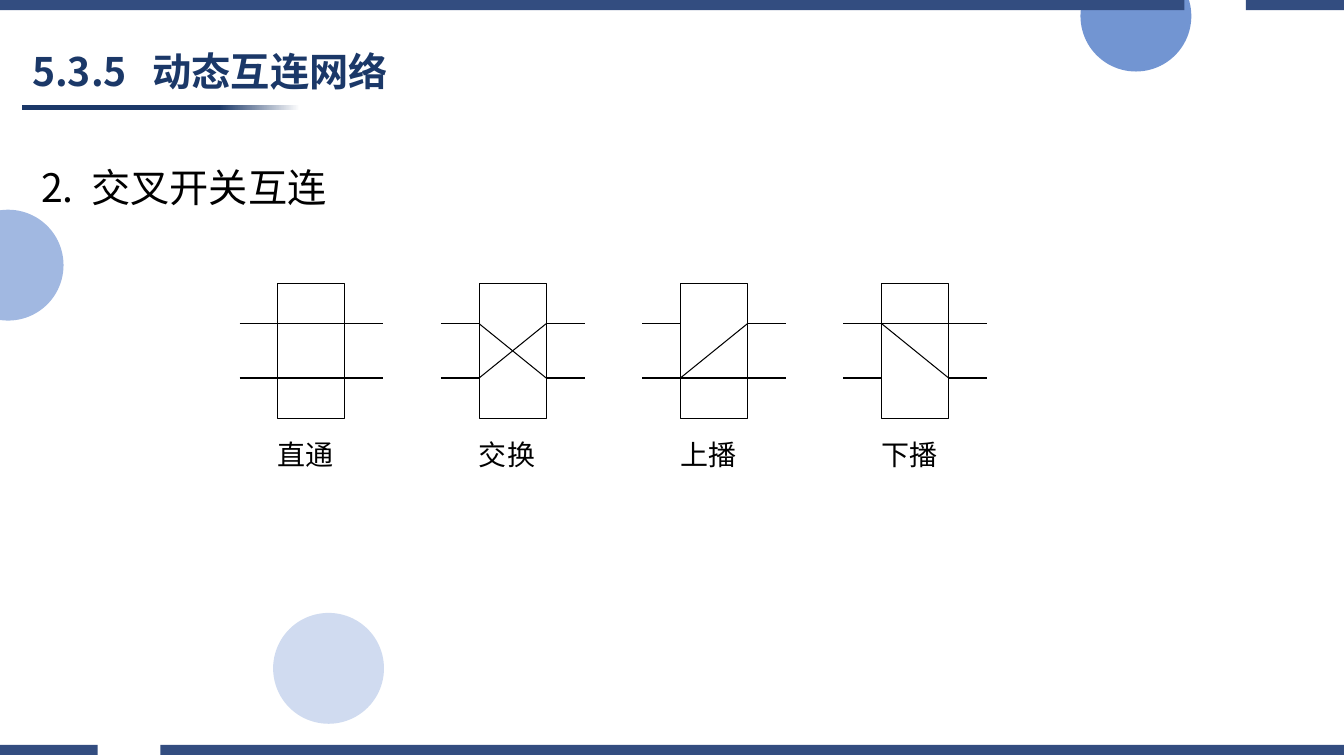
from copy import deepcopy
from dataclasses import dataclass

from lxml.etree import SubElement
from pptx import Presentation
from pptx.dml.color import RGBColor
from pptx.enum.shapes import MSO_CONNECTOR, MSO_SHAPE
from pptx.enum.text import MSO_ANCHOR, PP_ALIGN
from pptx.oxml.ns import qn
from pptx.util import Pt

SANS = "Noto Sans CJK SC"
SERIF = "Times New Roman"
NAVY, BAR, BLUE, BLACK, WHITE = "1B3868", "334D80", "4472C4", "000000", "FFFFFF"
WIDE, HIGH = 960, 540


@dataclass
class Disc:
    left: float
    top: float
    alpha: int


@dataclass
class Strip:
    top: float
    start: float
    end: float


@dataclass
class Switch:
    name: str
    links: list[tuple[int, int]]


DISCS = [Disc(195.1, 437.8, 25), Disc(-33.8, 149.8, 50), Disc(771.8, -28.1, 75)]
STRIPS = [Strip(532.1, 69.8, 114.5), Strip(0, 846, 890)]
SWITCHES = [
    Switch("直通", [(0, 0), (1, 1)]),
    Switch("交换", [(0, 1), (1, 0)]),
    Switch("上播", [(1, 1), (1, 0)]),
    Switch("下播", [(0, 0), (0, 1)]),
]
BOX_LEFT, BOX_TOP, BOX_WIDE, BOX_HIGH = 198.5, 202.3, 47.9, 96.5
PITCH, STUB = 143.75, 27.4
ROWS = (231.2, 270)


def color(code: str) -> RGBColor:
    return RGBColor.from_string(code)


def paint(shape, code: str, alpha: int = 100) -> None:
    shape.shadow.inherit = False
    shape.line.fill.background()
    shape.fill.solid()
    shape.fill.fore_color.rgb = color(code)
    if alpha < 100:
        tint = shape.fill._xPr.find(".//" + qn("a:srgbClr"))
        SubElement(tint, qn("a:alpha"), val=str(alpha * 1000))


def write(shape, text: str, *, size: float, font: str = SANS, code: str = BLACK,
          bold: bool = False, space: float = 1, tab: float = 0,
          anchor: MSO_ANCHOR = MSO_ANCHOR.TOP) -> None:
    frame = shape.text_frame
    frame.word_wrap = True
    frame.vertical_anchor = anchor
    para = frame.paragraphs[0]
    if tab:
        stops = SubElement(para._p.get_or_add_pPr(), qn("a:tabLst"))
        SubElement(stops, qn("a:tab"), pos=str(Pt(tab)), algn="l")
    para.alignment = PP_ALIGN.LEFT
    para.line_spacing = space
    run = para.add_run()
    run.text = text
    run.font.size = Pt(size)
    run.font.name = font
    run.font.bold = bold
    run.font.color.rgb = color(code)
    SubElement(run.font._element, qn("a:ea"), typeface=SANS)


def label(slide, text: str, left: float, top: float, width: float, height: float,
          **style) -> None:
    box = slide.shapes.add_textbox(Pt(left), Pt(top), Pt(width), Pt(height))
    write(box, text, **style)


def wire(slide, x1: float, y1: float, x2: float, y2: float) -> None:
    line = slide.shapes.add_connector(
        MSO_CONNECTOR.STRAIGHT, Pt(x1), Pt(y1), Pt(x2), Pt(y2))
    line.line.color.rgb = color(BLACK)
    line.line.width = Pt(0.75)
    SubElement(line._element.spPr, qn("a:effectLst"))


def draw_disc(slide, disc: Disc) -> None:
    shape = slide.shapes.add_shape(
        MSO_SHAPE.OVAL, Pt(disc.left), Pt(disc.top), Pt(79.2), Pt(79.2))
    paint(shape, BLUE, disc.alpha)


def draw_strip(slide, strip: Strip) -> None:
    top, base = Pt(strip.top), Pt(strip.top + 7.2)
    pen = slide.shapes.build_freeform(0, top)
    for left, right in ((0, strip.start), (strip.end, WIDE)):
        if left:
            pen.move_to(Pt(left), top)
        pen.add_line_segments(
            [(Pt(right), top), (Pt(right), base), (Pt(left), base)], close=True)
    paint(pen.convert_to_shape(), BAR)


def draw_rule(slide) -> None:
    rule = slide.shapes.add_shape(
        MSO_SHAPE.RECTANGLE, Pt(15.5), Pt(75.2), Pt(198.7), Pt(3.6))
    paint(rule, NAVY)
    rule.fill.gradient()
    rule.fill.gradient_angle = 0
    first = rule.fill.gradient_stops[0]._gs
    first.addnext(deepcopy(first))
    marks = ((0.01, NAVY), (0.71, NAVY), (1, WHITE))
    for stop, (place, code) in zip(rule.fill.gradient_stops, marks):
        stop.position = place
        stop.color.rgb = color(code)


def draw_switch(slide, switch: Switch, left: float) -> None:
    right = left + BOX_WIDE
    box = slide.shapes.add_shape(
        MSO_SHAPE.RECTANGLE, Pt(left), Pt(BOX_TOP), Pt(BOX_WIDE), Pt(BOX_HIGH))
    box.shadow.inherit = False
    box.fill.background()
    box.line.color.rgb = color(BLACK)
    box.line.width = Pt(0.75)
    for row in ROWS:
        wire(slide, left - STUB, row, left, row)
        wire(slide, right, row, right + STUB, row)
    for start, end in switch.links:
        wire(slide, left, ROWS[start], right, ROWS[end])
    label(slide, switch.name, left - 7.2, 308.9, 65.5, 31.7, size=20, font=SERIF)


def main() -> None:
    deck = Presentation()
    deck.slide_width, deck.slide_height = Pt(WIDE), Pt(HIGH)
    slide = deck.slides.add_slide(deck.slide_layouts[5])
    for disc in DISCS:
        draw_disc(slide, disc)
    draw_rule(slide)
    for strip in STRIPS:
        draw_strip(slide, strip)
    title = slide.shapes.title
    title.left, title.top, title.width, title.height = Pt(15.8), Pt(32.4), Pt(341.3), Pt(40.3)
    write(title, "5.3.5\t动态互连网络", size=28, code=NAVY, bold=True, space=0.9,
          tab=86, anchor=MSO_ANCHOR.MIDDLE)
    label(slide, "2.\t交叉开关互连", 22.3, 96.5, 859, 50.4, size=28, space=1.5, tab=36)
    for index, switch in enumerate(SWITCHES):
        draw_switch(slide, switch, BOX_LEFT + index * PITCH)
    deck.save("out.pptx")


if __name__ == "__main__":
    main()
